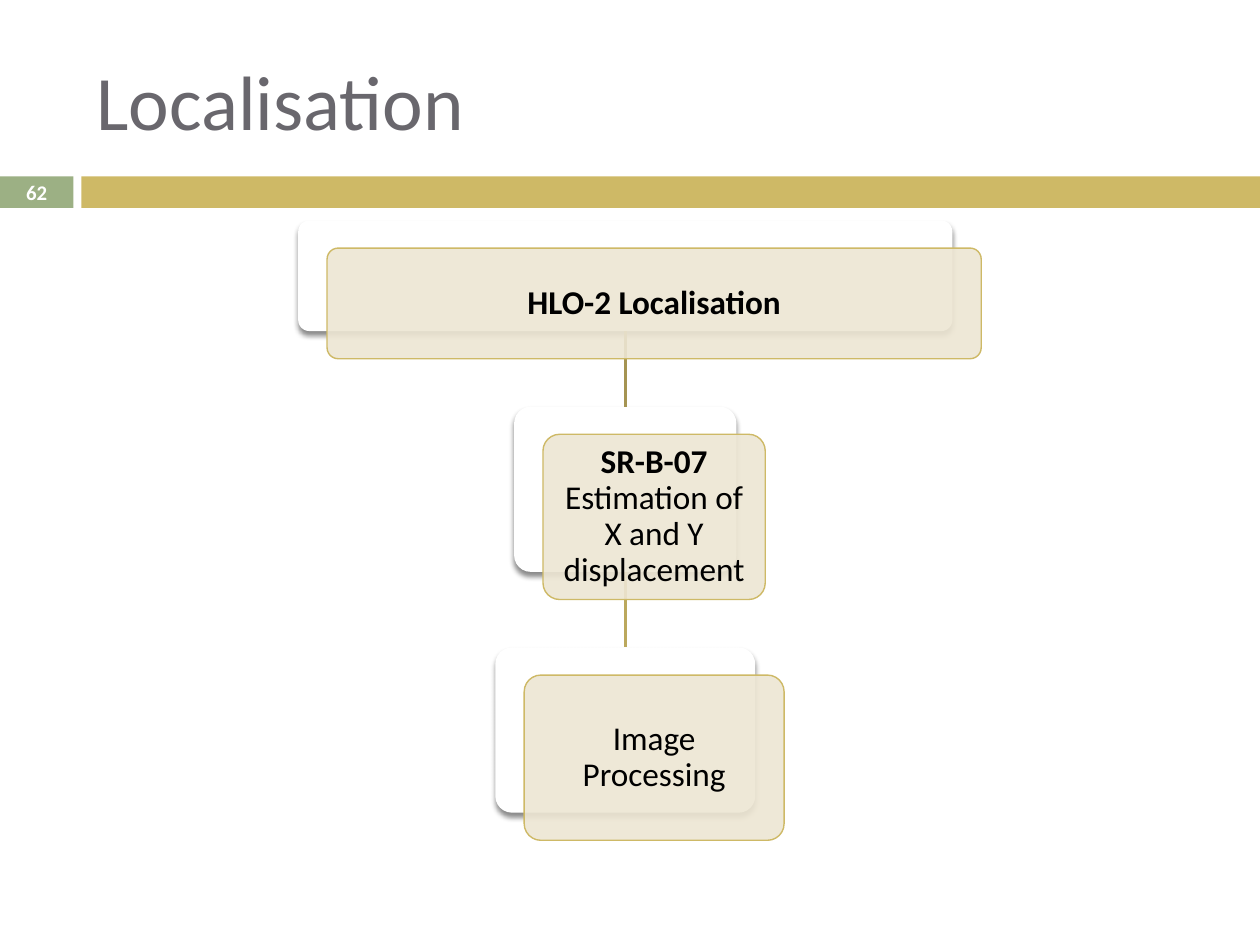
from lxml import etree
from pptx import Presentation
from pptx.dml.color import RGBColor
from pptx.enum.shapes import MSO_CONNECTOR, MSO_SHAPE
from pptx.enum.text import MSO_ANCHOR, MSO_AUTO_SIZE, PP_ALIGN
from pptx.oxml.ns import qn
from pptx.util import Pt

RECT, ROUND = MSO_SHAPE.RECTANGLE, MSO_SHAPE.ROUNDED_RECTANGLE
STRAIGHT = MSO_CONNECTOR.STRAIGHT
MIDDLE, CENTER, LEFT = MSO_ANCHOR.MIDDLE, PP_ALIGN.CENTER, PP_ALIGN.LEFT
NO_FIT = MSO_AUTO_SIZE.NONE
BOTTOM_SIDE, TOP_SIDE = 2, 0

COLORS = {
    "white": "FFFFFF", "black": "000000", "title": "69676D",
    "green": "9CB084", "gold": "CEB966", "cream": "EDE6D3",
    "link_dark": "A59452", "link_light": "BBA85D",
}


class Deck:
    font = "Calibri"

    def __init__(self, slide):
        self.s = slide

    def color(self, name):
        return RGBColor.from_string(COLORS[name])

    def run(self, p, text, size, color, bold=False):
        r = p.add_run()
        r.text = text
        r.font.name = self.font
        r.font.size = Pt(size)
        r.font.bold = bold
        r.font.color.rgb = self.color(color)

    def frame(self, sp, align, inset):
        tf = sp.text_frame
        tf.word_wrap = True
        tf.auto_size = NO_FIT
        tf.vertical_anchor = MIDDLE
        tf.margin_left = tf.margin_right = Pt(inset)
        tf.margin_top = tf.margin_bottom = Pt(inset)
        p = tf.paragraphs[0]
        p.alignment = align
        return p

    def title(self, text, x, y, w, h):
        sp = self.s.shapes.title
        sp.left, sp.top, sp.width, sp.height = Pt(x), Pt(y), Pt(w), Pt(h)
        self.run(self.frame(sp, LEFT, 7.2), text, 44, "title")

    def box(self, kind, x, y, w, h, fill):
        sp = self.s.shapes.add_shape(kind, Pt(x), Pt(y), Pt(w), Pt(h))
        sp.shadow.inherit = False
        sp.fill.solid()
        sp.fill.fore_color.rgb = self.color(fill)
        sp.line.fill.background()
        if kind == ROUND:
            sp.adjustments[0] = 0.1
        return sp

    def back_card(self, x, y, w, h):
        sp = self.box(ROUND, x, y, w, h, "white")
        effects = sp._element.spPr.find(qn("a:effectLst"))
        shadow = etree.SubElement(
            effects, qn("a:outerShdw"), blurRad=str(Pt(3)),
            dist=str(Pt(2.4)), dir="5400000", algn="ctr", rotWithShape="0")
        tint = etree.SubElement(shadow, qn("a:srgbClr"), val=COLORS["black"])
        etree.SubElement(tint, qn("a:alpha"), val="45000")
        return sp

    def front_card(self, x, y, w, h, heading, body):
        sp = self.box(ROUND, x, y, w, h, "cream")
        fill = sp._element.spPr.find(qn("a:solidFill"))
        etree.SubElement(fill[0], qn("a:alpha"), val="90000")
        sp.line.color.rgb = self.color("gold")
        sp.line.width = Pt(0.79)
        p = self.frame(sp, CENTER, 5.7)
        p.line_spacing = 0.9
        if heading:
            self.run(p, heading, 19, "black", True)
        if heading and body:
            p.add_line_break()
        if body:
            self.run(p, body, 19, "black")

    def link(self, upper, lower, color):
        x = upper.left + upper.width // 2
        cn = self.s.shapes.add_connector(
            STRAIGHT, x, upper.top + upper.height, x, lower.top)
        cn.begin_connect(upper, BOTTOM_SIDE)
        cn.end_connect(lower, TOP_SIDE)
        cn.line.color.rgb = self.color(color)
        cn.line.width = Pt(1.5)
        etree.SubElement(cn._element.spPr, qn("a:effectLst"))


def main():
    prs = Presentation()
    prs.slide_width, prs.slide_height = Pt(720), Pt(540)
    deck = Deck(prs.slides.add_slide(prs.slide_layouts[5]))

    deck.title("Localisation", 48, 18, 642, 78)
    number = deck.box(RECT, 0, 100.8, 42, 18, "green")
    deck.run(deck.frame(number, CENTER, 0), "62", 11.9, "white", True)
    deck.box(RECT, 46.5, 100.8, 673.5, 18, "gold")

    center, top, gap = 357.3, 126, 43.2
    shift_x, shift_y = 16.5, 15.8
    cards = [
        (373.8, 63.2, "HLO-2 Localisation", ""),
        (127, 94.4, "SR-B-07", "Estimation of X and Y displacement"),
        (148.5, 94.4, "", "Image Processing"),
    ]
    places = []
    for w, h, heading, body in cards:
        places.append((center - w / 2, top, w, h))
        top += h + gap

    backs = [deck.back_card(*place) for place in places]
    for upper, lower, color in zip(backs, backs[1:], ("link_dark", "link_light")):
        deck.link(upper, lower, color)
    for (x, y, w, h), (_, _, heading, body) in zip(places, cards):
        deck.front_card(x + shift_x, y + shift_y, w, h, heading, body)

    prs.save("out.pptx")


if __name__ == "__main__":
    main()
